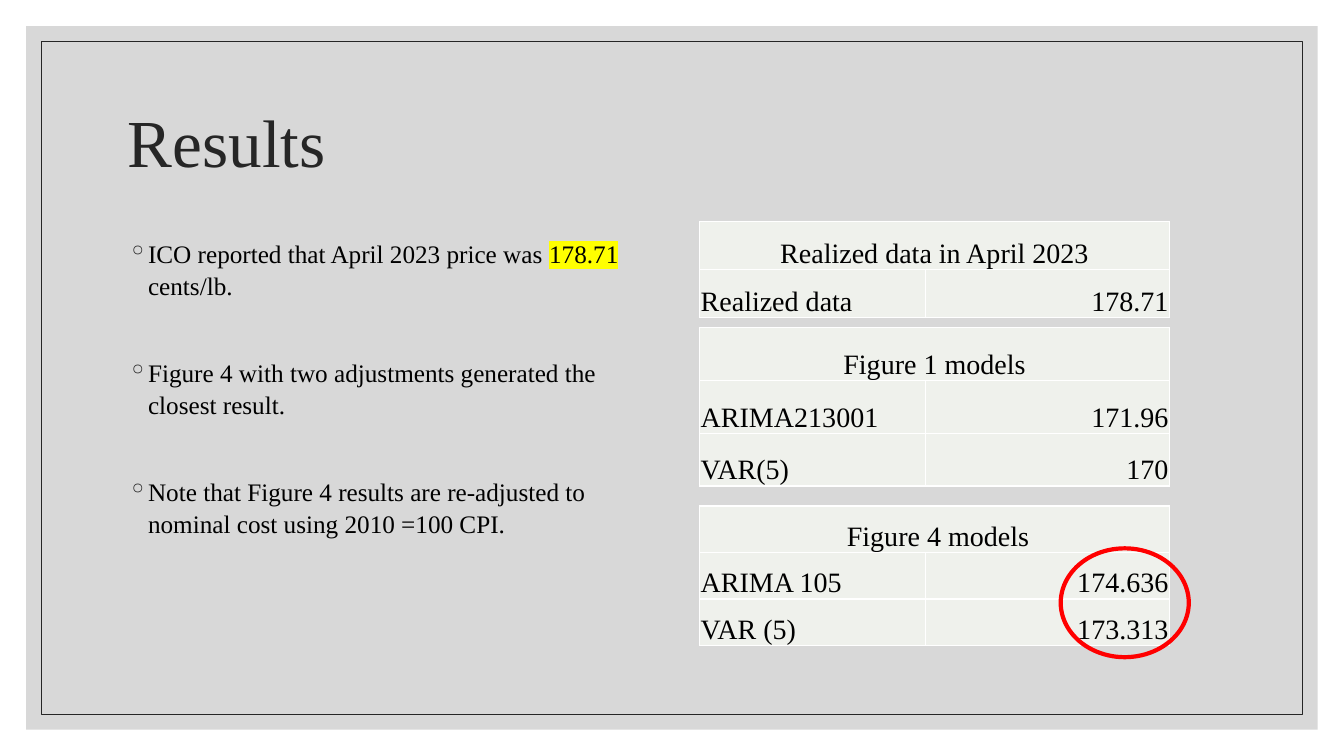
from dataclasses import dataclass

from pptx import Presentation
from pptx import util as u
from pptx.dml.color import RGBColor
from pptx.enum import shapes, text
from pptx.oxml import parse_xml
from pptx.oxml.ns import nsdecls, qn


@dataclass(frozen=True)
class Theme:
    font: str = "Times New Roman"
    title_pt: int = 48
    body_pt: int = 18
    table_pt: int = 20
    ink: str = "262626"
    black: str = "000000"
    panel: str = "BFBFBF"
    panel_opacity: int = 60
    cell: str = "EFF1EC"
    border: str = "FFFFFF"
    marker: str = "FFFF00"
    accent: str = "FF0000"


def rgb(value):
    return RGBColor.from_string(value)


def color_xml(tag, value):
    return f'<a:{tag} {nsdecls("a")}><a:srgbClr val="{value}"/></a:{tag}>'


class Deck:
    COLS = ROWS = 100

    def __init__(self, theme):
        self.theme = theme
        self.prs = Presentation()
        self.prs.slide_width = u.Inches(13.33)
        self.prs.slide_height = u.Inches(7.5)
        self.s = self.prs.slides.add_slide(self.prs.slide_layouts[6])

    def x(self, cols):
        return u.Emu(round(self.prs.slide_width * cols / self.COLS))

    def y(self, rows):
        return u.Emu(round(self.prs.slide_height * rows / self.ROWS))

    def box(self, left, top, width, height):
        return self.x(left), self.y(top), self.x(width), self.y(height)

    def shape(self, kind, box, fill=None, opacity=100, line=None, line_pt=1):
        sp = self.s.shapes.add_shape(kind, *self.box(*box))
        sp.shadow.inherit = False
        if fill:
            sp.fill.solid()
            sp.fill.fore_color.rgb = rgb(fill)
            clr = sp.fill._xPr.find(qn("a:solidFill"))[0]
            clr.append(parse_xml(f'<a:alpha {nsdecls("a")} val="{opacity * 1000}"/>'))
        else:
            sp.fill.background()
        if line:
            sp.line.color.rgb = rgb(line)
            sp.line.width = u.Pt(line_pt)
        else:
            sp.line.fill.background()

    def frame(self, margin_x, margin_y, **style):
        box = (margin_x, margin_y, self.COLS - 2 * margin_x, self.ROWS - 2 * margin_y)
        self.shape(shapes.MSO_SHAPE.RECTANGLE, box, **style)

    def run(self, p, words, size, color, marked=False):
        r = p.add_run()
        r.text = words
        r.font.size = u.Pt(size)
        r.font.color.rgb = rgb(color)
        r.font.name = self.theme.font
        if marked:
            fill = r.font._element.find(qn("a:solidFill"))
            fill.addnext(parse_xml(color_xml("highlight", self.theme.marker)))

    def textbox(self, box, anchor):
        tf = self.s.shapes.add_textbox(*self.box(*box)).text_frame
        tf.word_wrap = True
        tf.vertical_anchor = anchor
        return tf

    def title(self, box, words):
        p = self.textbox(box, text.MSO_ANCHOR.MIDDLE).paragraphs[0]
        p.line_spacing = 0.9
        self.run(p, words, self.theme.title_pt, self.theme.ink)

    def bullets(self, box, items, gap_pt):
        tf = self.textbox(box, text.MSO_ANCHOR.TOP)
        for i, runs in enumerate(items):
            p = tf.add_paragraph() if i else tf.paragraphs[0]
            p.line_spacing = 1.05
            p.space_before = u.Pt(gap_pt if i else 0)
            pPr = p._p.get_or_add_pPr()
            pPr.set("marL", str(u.Inches(0.2)))
            pPr.set("indent", str(u.Inches(-0.2)))
            pPr.append(parse_xml(color_xml("buClr", self.theme.ink)))
            pPr.append(parse_xml(f'<a:buChar {nsdecls("a")} char="◦"/>'))
            for words, marked in runs:
                self.run(p, words, self.theme.body_pt, self.theme.black, marked)

    def cell(self, c, words, align):
        c.fill.solid()
        c.fill.fore_color.rgb = rgb(self.theme.cell)
        c.margin_left = c.margin_right = c.margin_top = u.Inches(0.01)
        c.margin_bottom = 0
        c.vertical_anchor = text.MSO_ANCHOR.BOTTOM
        tcPr = c._tc.get_or_add_tcPr()
        for i, side in enumerate(("lnL", "lnR", "lnT", "lnB")):
            ln = parse_xml(f'<a:{side} {nsdecls("a")} w="{u.Pt(1)}"/>')
            ln.append(parse_xml(color_xml("solidFill", self.theme.border)))
            tcPr.insert(i, ln)
        if words:
            p = c.text_frame.paragraphs[0]
            p.alignment = align
            self.run(p, words, self.theme.table_pt, self.theme.black)

    def table(self, left, top, widths, row_height, heading, rows):
        grid = [(heading, "")] + rows
        box = self.box(left, top, sum(widths), row_height * len(grid))
        tbl = self.s.shapes.add_table(len(grid), len(widths), *box).table
        tbl.first_row = tbl.horz_banding = False
        for col, width in zip(tbl.columns, widths):
            col.width = self.x(width)
        tbl.cell(0, 0).merge(tbl.cell(0, 1))
        for i, values in enumerate(grid):
            tbl.rows[i].height = self.y(row_height)
            for j, words in enumerate(values):
                align = text.PP_ALIGN.RIGHT if j else text.PP_ALIGN.LEFT
                self.cell(tbl.cell(i, j), words, align if i else text.PP_ALIGN.CENTER)


def main():
    theme = Theme()
    deck = Deck(theme)
    deck.frame(1.95, 3.47, fill=theme.panel, opacity=theme.panel_opacity)
    deck.frame(3.08, 5.47, line=theme.ink, line_pt=0.5)
    deck.title((8.78, 9.33, 82.52, 20), "Results")
    deck.bullets((8.78, 30.67, 38.26, 54.67), [
        [("ICO reported that April 2023 price was ", False),
         ("178.71 ", True), ("cents/lb.", False)],
        [("Figure 4 with two adjustments generated the closest result.", False)],
        [("Note that Figure 4 results are re-adjusted to nominal cost "
          "using 2010 =100 CPI.", False)],
    ], gap_pt=39.7)
    tables = [
        (29.33, 6.35, "Realized data in April 2023", [("Realized data", "178.71")]),
        (43.33, 6.99, "Figure 1 models",
         [("ARIMA213001", "171.96"), ("VAR(5)", "170")]),
        (66.93, 6.15, " Figure 4 models",
         [("ARIMA 105", "174.636"), ("VAR (5)", "173.313")]),
    ]
    for top, row_height, heading, rows in tables:
        deck.table(52.06, top, (16.8, 18.15), row_height, heading, rows)
    deck.shape(shapes.MSO_SHAPE.OVAL, (78.92, 72.53, 9.53, 14.4),
               line=theme.accent, line_pt=3)
    deck.prs.save("out.pptx")


if __name__ == "__main__":
    main()
